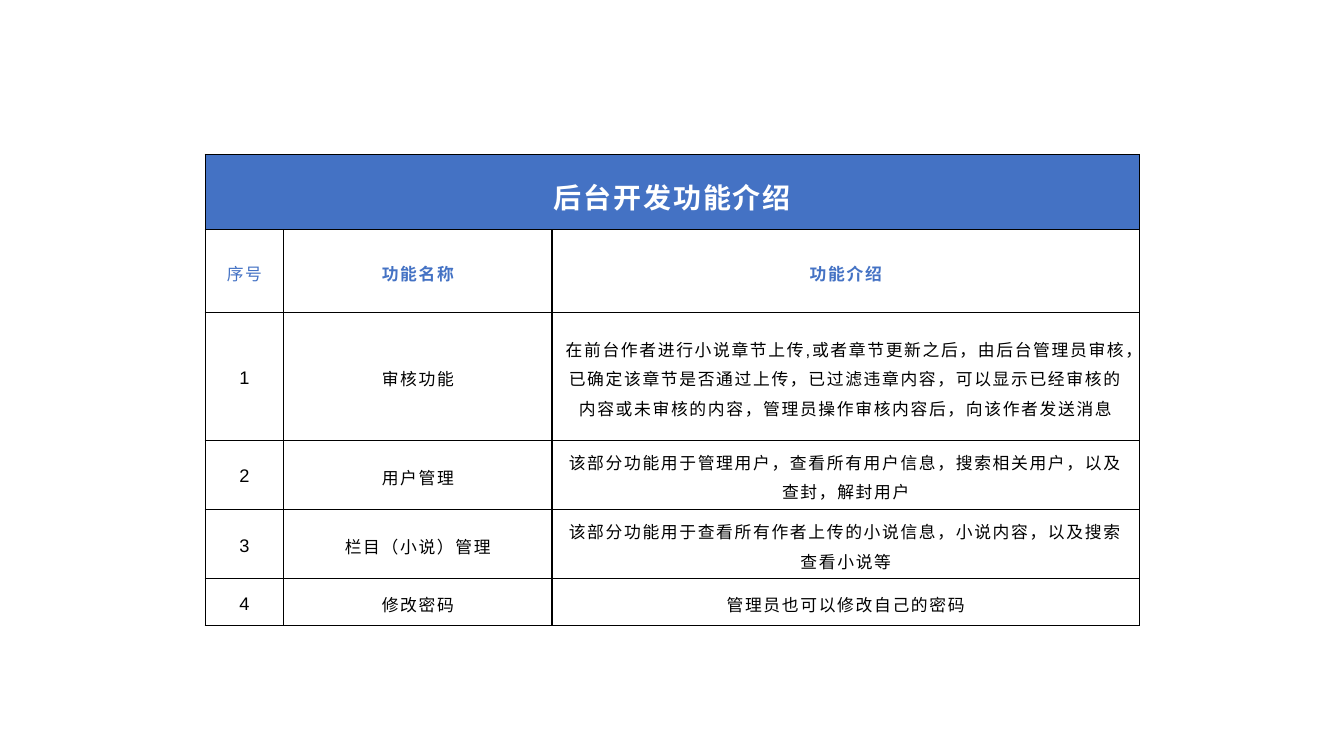
"""Build a slide with a table of back-office functions."""
import lxml.etree
import pptx
import pptx.dml.color
import pptx.enum.text
import pptx.oxml.ns
import pptx.util

Cm = pptx.util.Cm
BLUE = pptx.dml.color.RGBColor(0x44, 0x72, 0xC4)
WHITE = pptx.dml.color.RGBColor(0xFF, 0xFF, 0xFF)
BLACK = pptx.dml.color.RGBColor(0, 0, 0)
COLUMN_WIDTHS = [1.98, 6.76, 14.81]
ROW_HEIGHTS = [1.9, 2.08, 3.22, 1.74, 1.74, 1.19]
HEADINGS = ["序号", "功能名称", "功能介绍"]
FUNCTIONS = [
    ("审核功能", "在前台作者进行小说章节上传,或者章节更新之后，由后台管理员审核，"
     "已确定该章节是否通过上传，已过滤违章内容，可以显示已经审核的内容或未审核的内容，"
     "管理员操作审核内容后，向该作者发送消息"),
    ("用户管理", "该部分功能用于管理用户，查看所有用户信息，搜索相关用户，以及查封，解封用户"),
    ("栏目（小说）管理", "该部分功能用于查看所有作者上传的小说信息，小说内容，以及搜索查看小说等"),
    ("修改密码", "管理员也可以修改自己的密码"),
]


def write_cell(cell, text, size=12, color=BLACK, bold=False, spacing=1.2):
    cell.vertical_anchor = pptx.enum.text.MSO_ANCHOR.MIDDLE
    paragraph = cell.text_frame.paragraphs[0]
    paragraph.alignment = pptx.enum.text.PP_ALIGN.CENTER
    paragraph.line_spacing = 1.2
    run = paragraph.add_run()
    run.text = text
    run.font.name = "Arial"
    run.font.size = pptx.util.Pt(size)
    run.font.bold = bold
    run.font.color.rgb = color
    run.font._element.set("spc", str(round(spacing * 100)))


presentation = pptx.Presentation()
presentation.slide_width = Cm(33.87)
presentation.slide_height = Cm(19.05)
slide = presentation.slides.add_slide(presentation.slide_layouts[6])

overview = slide.shapes.add_table(
    len(ROW_HEIGHTS), len(COLUMN_WIDTHS), Cm(5.17), Cm(3.89),
    Cm(sum(COLUMN_WIDTHS)), Cm(sum(ROW_HEIGHTS))).table
for column, width in zip(overview.columns, COLUMN_WIDTHS):
    column.width = Cm(width)
for row, height in zip(overview.rows, ROW_HEIGHTS):
    row.height = Cm(height)

qn = pptx.oxml.ns.qn
for cell in overview.iter_cells():
    properties = cell._tc.get_or_add_tcPr()
    for side in ("a:lnL", "a:lnR", "a:lnT", "a:lnB"):
        border = lxml.etree.SubElement(properties, qn(side), w="12700")
        border_fill = lxml.etree.SubElement(border, qn("a:solidFill"))
        lxml.etree.SubElement(border_fill, qn("a:srgbClr"), val=str(BLACK))
    cell.fill.solid()
    cell.fill.fore_color.rgb = WHITE

heading = overview.cell(0, 0)
heading.merge(overview.cell(0, 2))
heading.fill.fore_color.rgb = BLUE
write_cell(heading, "后台开发功能介绍", size=20, color=WHITE, bold=True, spacing=1.3)

for position, label in enumerate(HEADINGS):
    write_cell(overview.cell(1, position), label, color=BLUE, bold=position > 0)

for number, (function, description) in enumerate(FUNCTIONS, start=1):
    write_cell(overview.cell(number + 1, 0), str(number), size=13)
    write_cell(overview.cell(number + 1, 1), function)
    write_cell(overview.cell(number + 1, 2), description)

presentation.save("out.pptx")
